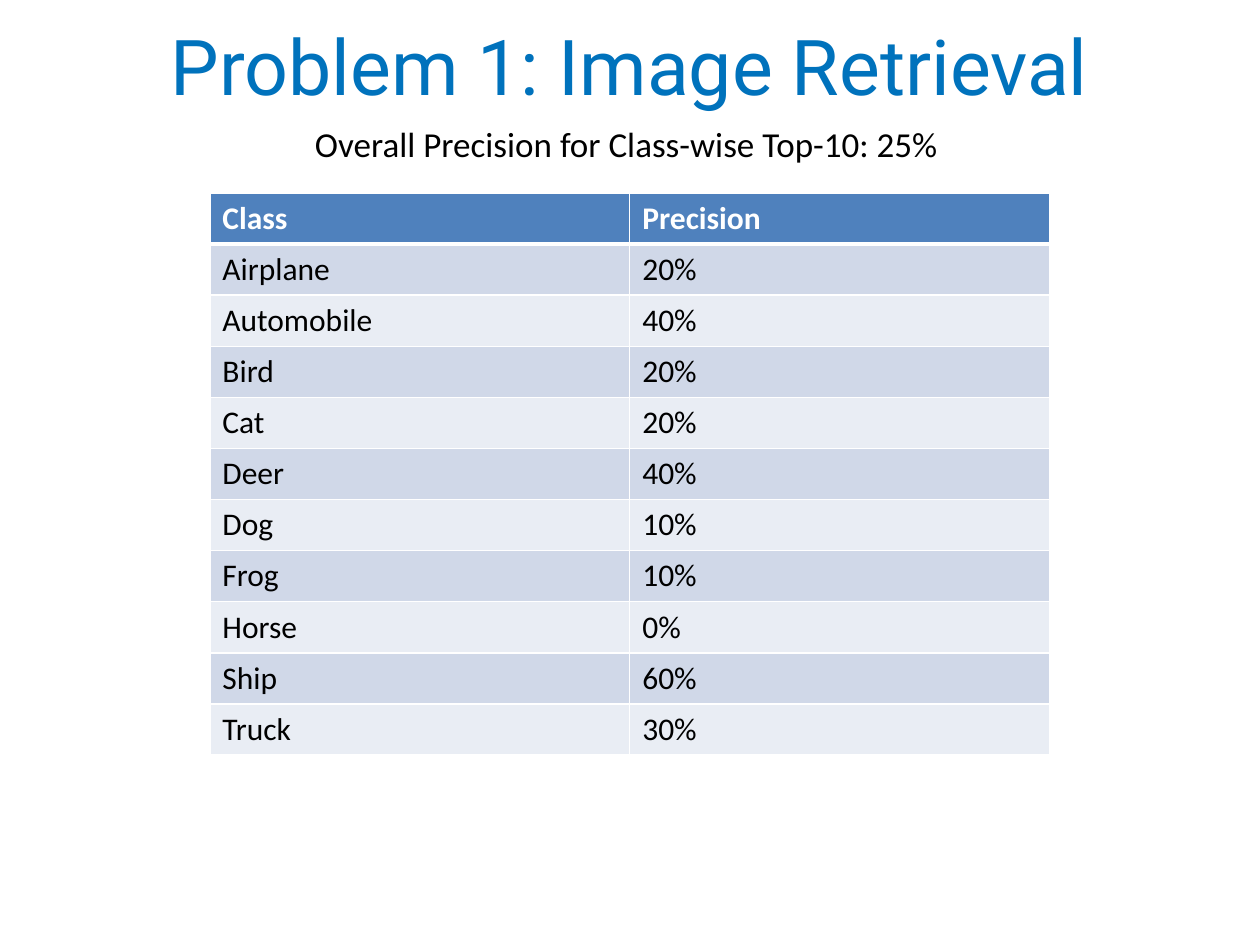
from dataclasses import dataclass

from lxml.etree import SubElement
from pptx import Presentation
from pptx.dml.color import RGBColor
from pptx.enum.text import MSO_ANCHOR, MSO_AUTO_SIZE, PP_ALIGN
from pptx.oxml.ns import qn
from pptx.util import Cm, Pt


@dataclass(frozen=True)
class Theme:
    title_font: str = "Roboto"
    body_font: str = "Calibri"
    title_size: int = 44
    caption_size: int = 20
    table_size: int = 18
    title_color: str = "0072BC"
    text_color: str = "000000"
    header_text: str = "FFFFFF"
    header_fill: str = "4F81BD"
    band_fills: tuple = ("D0D8E8", "E9EDF4")
    border_color: str = "FFFFFF"
    border_width: int = 1
    header_rule_width: int = 3


THEME = Theme()

HEADINGS = ("Class", "Precision")
CLASS_PRECISION = (
    ("Airplane", "20%"),
    ("Automobile", "40%"),
    ("Bird", "20%"),
    ("Cat", "20%"),
    ("Deer", "40%"),
    ("Dog", "10%"),
    ("Frog", "10%"),
    ("Horse", "0%"),
    ("Ship", "60%"),
    ("Truck", "30%"),
)


def add_run(paragraph, text, font_name, size, color, bold=False):
    run = paragraph.add_run()
    run.text = text
    run.font.name = font_name
    run.font.size = Pt(size)
    run.font.bold = bold
    run.font.color.rgb = RGBColor.from_string(color)


def set_title(slide, text):
    title = slide.shapes.title
    title.left, title.top = Cm(1.27), Cm(0.03)
    title.width, title.height = Cm(22.86), Cm(2.54)
    title.text_frame.vertical_anchor = MSO_ANCHOR.MIDDLE
    paragraph = title.text_frame.paragraphs[0]
    paragraph.alignment = PP_ALIGN.CENTER
    add_run(paragraph, text, THEME.title_font, THEME.title_size, THEME.title_color)


def add_caption(slide, text):
    caption = slide.shapes.add_textbox(Cm(6.1), Cm(2.34), Cm(13.18), Cm(1.11))
    frame = caption.text_frame
    frame.word_wrap = False
    frame.auto_size = MSO_AUTO_SIZE.SHAPE_TO_FIT_TEXT
    add_run(frame.paragraphs[0], text, THEME.body_font, THEME.caption_size, THEME.text_color)


def set_borders(cell, top, bottom):
    properties = cell._tc.get_or_add_tcPr()
    side = THEME.border_width
    for tag, width in (("lnL", side), ("lnR", side), ("lnT", top), ("lnB", bottom)):
        line = SubElement(properties, qn(f"a:{tag}"), w=str(Pt(width)))
        fill = SubElement(line, qn("a:solidFill"))
        SubElement(fill, qn("a:srgbClr"), val=THEME.border_color)


def fill_row(table, row_index, texts):
    is_header = row_index == 0
    color = THEME.header_text if is_header else THEME.text_color
    fill = THEME.header_fill if is_header else THEME.band_fills[(row_index - 1) % 2]
    top = THEME.header_rule_width if row_index == 1 else THEME.border_width
    bottom = THEME.header_rule_width if is_header else THEME.border_width
    for column_index, text in enumerate(texts):
        cell = table.cell(row_index, column_index)
        set_borders(cell, top, bottom)
        cell.fill.solid()
        cell.fill.fore_color.rgb = RGBColor.from_string(fill)
        paragraph = cell.text_frame.paragraphs[0]
        add_run(paragraph, text, THEME.body_font, THEME.table_size, color, is_header)


def add_precision_table(slide):
    rows = (HEADINGS, *CLASS_PRECISION)
    frame = slide.shapes.add_table(
        len(rows), len(HEADINGS), Cm(4.23), Cm(3.89), Cm(16.93), Cm(1.03) * len(rows)
    )
    for row_index, texts in enumerate(rows):
        fill_row(frame.table, row_index, texts)


def main():
    presentation = Presentation()
    presentation.slide_width = Cm(25.4)
    presentation.slide_height = Cm(19.05)
    title_only = presentation.slide_layouts.get_by_name("Title Only")
    slide = presentation.slides.add_slide(title_only)
    set_title(slide, "Problem 1: Image Retrieval")
    add_caption(slide, "Overall Precision for Class-wise Top-10: 25%")
    add_precision_table(slide)
    presentation.save("out.pptx")


if __name__ == "__main__":
    main()
